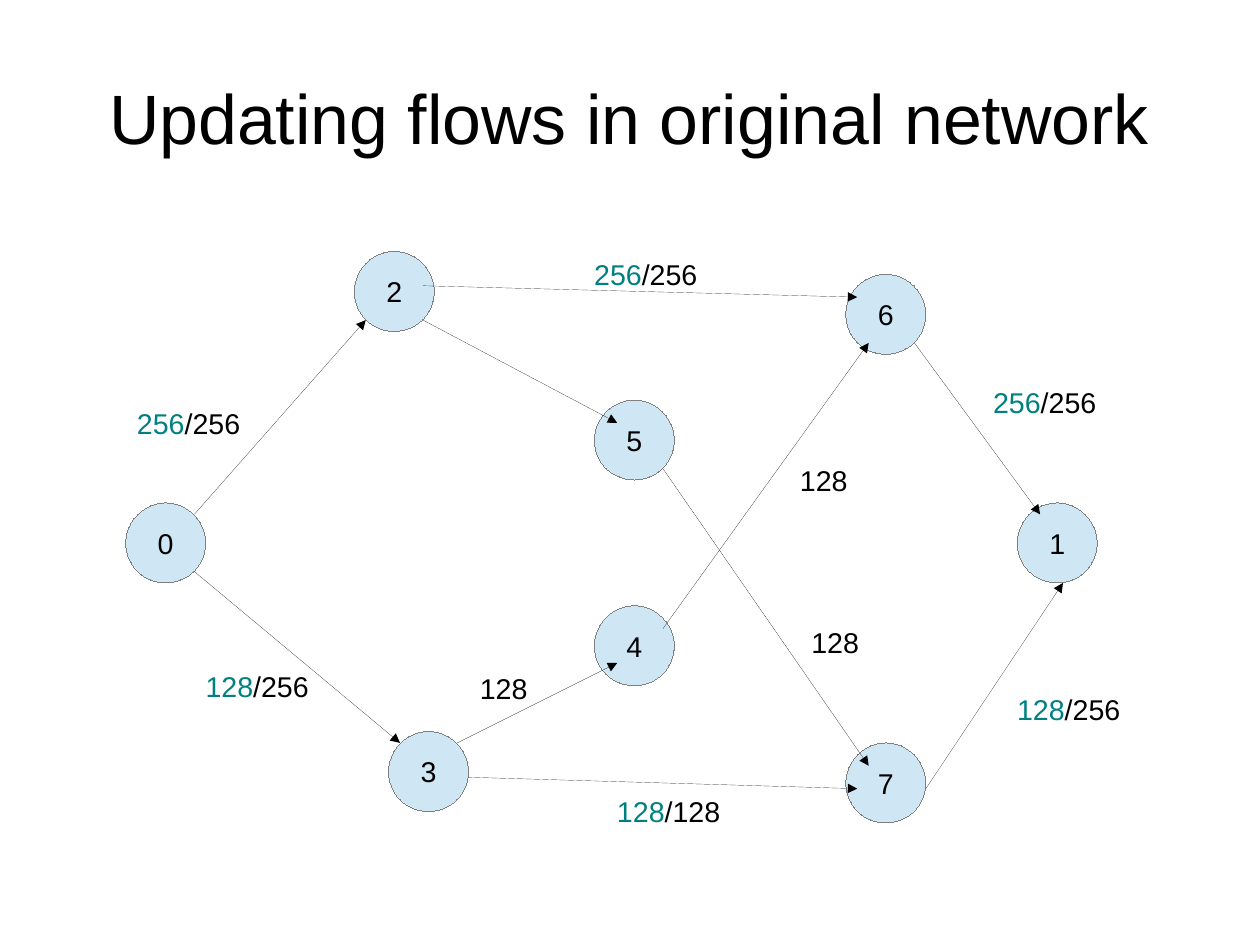
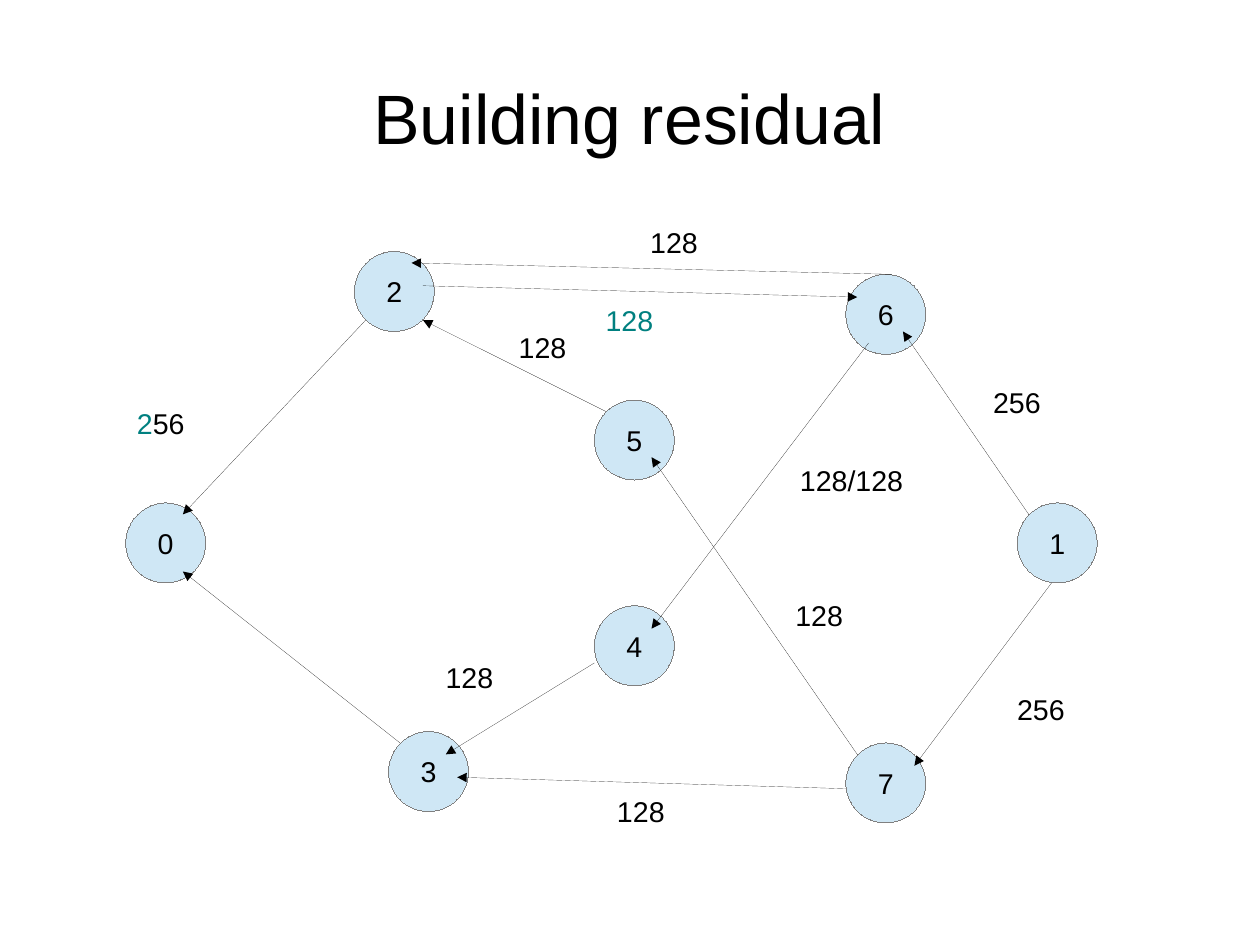
"""Builds two slides that show flows through a network and its residual."""
from dataclasses import dataclass

from lxml import etree
from pptx import Presentation
from pptx import util as u
from pptx.dml.color import RGBColor
from pptx.enum import shapes, text
from pptx.oxml.ns import qn


@dataclass(frozen=True)
class Theme:
    """Colours, font and type sizes shared by the slides."""
    ink: RGBColor = RGBColor(0x00, 0x00, 0x00)
    flow: RGBColor = RGBColor(0x00, 0x80, 0x80)
    node_fill: RGBColor = RGBColor(0xCF, 0xE7, 0xF5)
    node_line: RGBColor = RGBColor(0x80, 0x80, 0x80)
    font: str = "Arial"
    title_size: int = 44
    body_size: int = 18


@dataclass(frozen=True)
class Box:
    """A region of a slide, in inches."""
    left: float
    top: float
    width: float
    height: float

    def point(self, x, y):
        """Turn a position inside the box into slide lengths."""
        return u.Inches(self.left + x), u.Inches(self.top + y)


THEME = Theme()
TITLE_BOX = Box(0.55, 0.33, 9.92, 1.38)
NETWORK_BOX = Box(1, 1.9, 9.1, 5.4)
NODE_SIZE = 0.7
LABEL_WIDTH, LABEL_HEIGHT = 1.3, 0.38

NODES = {
    "2": (2.1, 0.3), "0": (0.1, 2.5), "3": (2.4, 4.5), "4": (4.2, 3.4),
    "5": (4.2, 1.6), "7": (6.4, 4.6), "6": (6.4, 0.5), "1": (7.9, 2.5),
}

FLOW_ARROWS = [
    ((0.7, 2.6), (2.2, 0.9)),
    ((0.7, 3.1), (2.5, 4.6)),
    ((3, 4.6), (4.4, 3.9)),
    ((4.8, 3.6), (6.6, 1.1)),
    ((2.7, 0.9), (4.4, 1.8)),
    ((4.8, 2.2), (6.6, 4.8)),
    ((3.1, 4.9), (6.5, 5)),
    ((7.1, 5), (8.3, 3.2)),
    ((2.7, 0.6), (6.5, 0.7)),
    ((7, 1.1), (8.1, 2.6)),
]
FLOW_LABELS = [
    ("256", "/256", (0.1, 1.6)),
    ("128", "/256", (0.7, 3.9)),
    ("", "128", (3.1, 3.92)),
    ("256", "/256", (4.1, 0.3)),
    ("256", "/256", (7.59, 1.42)),
    ("128", "/256", (7.8, 4.1)),
    ("128", "/128", (4.3, 5)),
    ("", "128", (6, 3.52)),
    ("", "128", (5.9, 2.1)),
]

RESIDUAL_ARROWS = [
    ((2.7, 0.6), (6.5, 0.7)),
    ((2.2, 0.9), (0.6, 2.6)),
    ((2.5, 4.6), (0.6, 3.1)),
    ((6.4, 5), (3, 4.9)),
    ((8.2, 3.2), (7, 4.8)),
    ((4.2, 3.9), (2.9, 4.7)),
    ((4.3, 1.7), (2.7, 0.9)),
    ((6.5, 4.7), (4.7, 2.1)),
    ((6.6, 1.1), (4.7, 3.6)),
    ((8, 2.6), (6.9, 1)),
    ((6.8, 0.5), (2.6, 0.4)),
]
RESIDUAL_LABELS = [
    ("2", "56", (0.1, 1.6)),
    ("", "128", (2.8, 3.82)),
    ("128", "", (4.2, 0.7)),
    ("", "256", (7.59, 1.42)),
    ("", "256", (7.8, 4.1)),
    ("", "128", (4.3, 5)),
    ("", "128/128", (5.9, 2.1)),
    ("", "128", (3.44, 0.94)),
    ("", "128", (5.86, 3.28)),
    ("", "128", (4.59, 0.02)),
]


def format_font(font, size, color):
    """Apply the theme font in one size and colour."""
    font.name = THEME.font
    font.size = u.Pt(size)
    font.color.rgb = color


def set_hairline(shape, color):
    """Give a shape the thinnest line, free of the template's style."""
    shape.line.color.rgb = color
    shape.line.width = u.Pt(0)
    element = shape._element
    element.remove(element.find(qn("p:style")))


def add_title(slide, box, title):
    """Place the title placeholder in its box."""
    shape = slide.shapes.title
    shape.left, shape.top = box.point(0, 0)
    shape.width, shape.height = u.Inches(box.width), u.Inches(box.height)
    frame = shape.text_frame
    frame.text = title
    frame.auto_size = text.MSO_AUTO_SIZE.NONE
    frame.vertical_anchor = text.MSO_ANCHOR.MIDDLE
    frame.margin_left = frame.margin_right = 0
    frame.margin_top = frame.margin_bottom = 0
    paragraph = frame.paragraphs[0]
    paragraph.alignment = text.PP_ALIGN.CENTER
    format_font(paragraph.runs[0].font, THEME.title_size, THEME.ink)


def add_node(slide, box, name, position):
    """Draw one numbered circle of the network."""
    size = u.Inches(NODE_SIZE)
    shape = slide.shapes.add_shape(
        shapes.MSO_SHAPE.OVAL, *box.point(*position), size, size)
    shape.shadow.inherit = False
    shape.fill.solid()
    shape.fill.fore_color.rgb = THEME.node_fill
    set_hairline(shape, THEME.node_line)
    frame = shape.text_frame
    frame.text = name
    frame.word_wrap = False
    frame.vertical_anchor = text.MSO_ANCHOR.MIDDLE
    paragraph = frame.paragraphs[0]
    paragraph.alignment = text.PP_ALIGN.CENTER
    format_font(paragraph.runs[0].font, THEME.body_size, THEME.ink)


def add_arrow(slide, box, start, end):
    """Draw a hairline arrow between two points of the box."""
    connector = slide.shapes.add_connector(
        shapes.MSO_CONNECTOR.STRAIGHT, *box.point(*start), *box.point(*end))
    set_hairline(connector, THEME.ink)
    line = connector._element.spPr.find(qn("a:ln"))
    etree.SubElement(line, qn("a:tailEnd"), type="triangle")
    etree.SubElement(connector._element.spPr, qn("a:effectLst"))


def add_label(slide, box, flow, capacity, position):
    """Write an edge label with its flow in the accent colour."""
    shape = slide.shapes.add_textbox(
        *box.point(*position), u.Inches(LABEL_WIDTH), u.Inches(LABEL_HEIGHT))
    shape.text_frame.word_wrap = True
    paragraph = shape.text_frame.paragraphs[0]
    for part, color in ((flow, THEME.flow), (capacity, THEME.ink)):
        if part:
            run = paragraph.add_run()
            run.text = part
            format_font(run.font, THEME.body_size, color)


def add_network(slide, box, arrows, labels):
    """Draw the nodes, arrows and edge labels inside the box."""
    for name, position in NODES.items():
        add_node(slide, box, name, position)
    for start, end in arrows:
        add_arrow(slide, box, start, end)
    for flow, capacity, position in labels:
        add_label(slide, box, flow, capacity, position)


def add_network_slide(presentation, title, arrows, labels):
    """Add a slide with a title above a network."""
    slide = presentation.slides.add_slide(
        presentation.slide_layouts.get_by_name("Title Only"))
    add_title(slide, TITLE_BOX, title)
    add_network(slide, NETWORK_BOX, arrows, labels)


def main():
    """Build and save the presentation."""
    presentation = Presentation()
    presentation.slide_width = u.Cm(28)
    presentation.slide_height = u.Cm(21)
    add_network_slide(presentation, "Updating flows in original network",
                      FLOW_ARROWS, FLOW_LABELS)
    add_network_slide(presentation, "Building residual",
                      RESIDUAL_ARROWS, RESIDUAL_LABELS)
    presentation.save("out.pptx")


if __name__ == "__main__":
    main()
